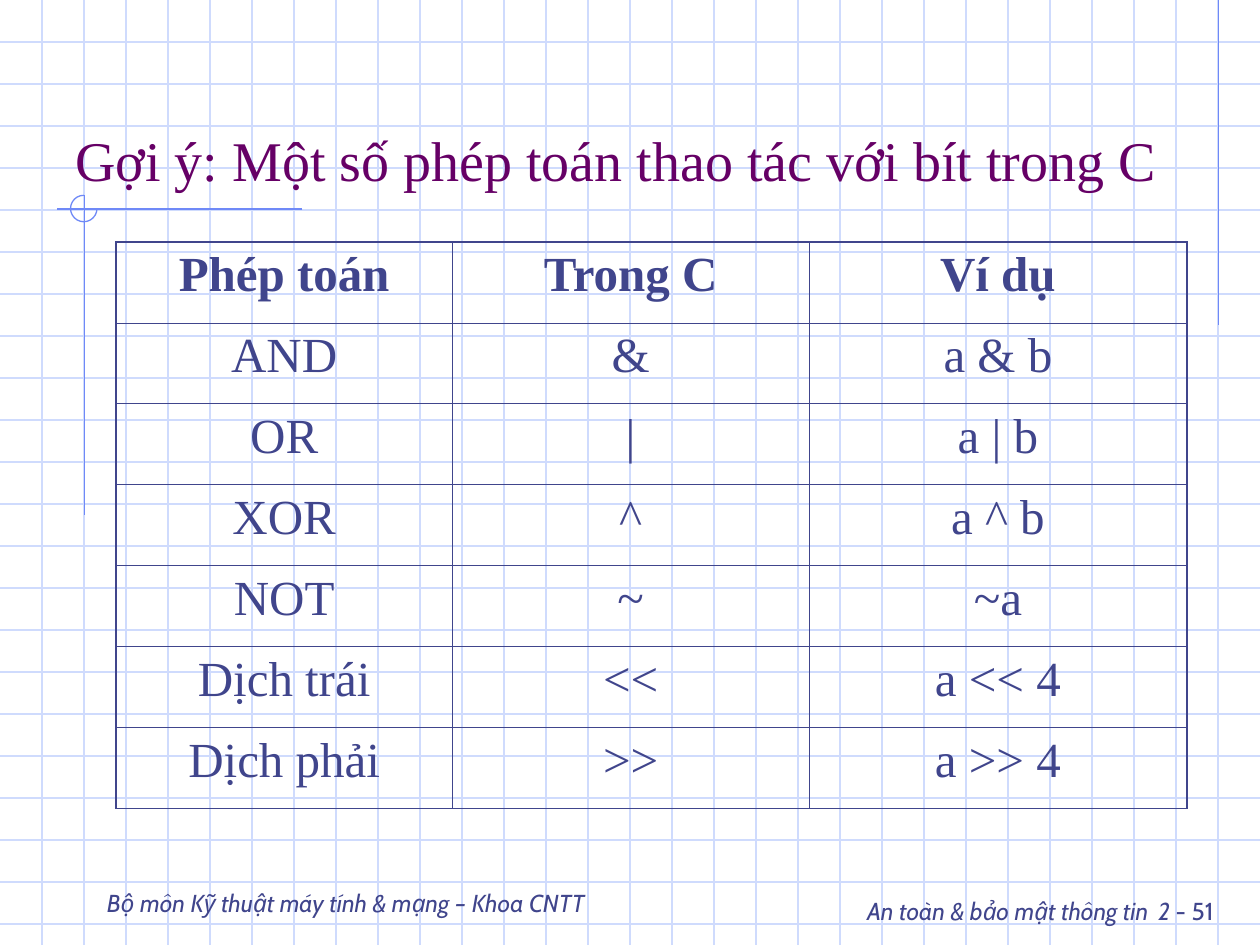
from lxml import etree
from pptx import Presentation
from pptx.dml.color import RGBColor
from pptx.enum.shapes import MSO_CONNECTOR, MSO_SHAPE
from pptx.enum.text import MSO_ANCHOR, PP_ALIGN
from pptx.oxml.ns import qn
from pptx.util import Inches, Pt

STRAIGHT = MSO_CONNECTOR.STRAIGHT
ARC = MSO_SHAPE.ARC
TOP, BOTTOM = MSO_ANCHOR.TOP, MSO_ANCHOR.BOTTOM
LEFT, CENTER, RIGHT = PP_ALIGN.LEFT, PP_ALIGN.CENTER, PP_ALIGN.RIGHT

WHITE = RGBColor(0xFF, 0xFF, 0xFF)
GRID = RGBColor(0xCF, 0xDB, 0xFD)
ACCENT = RGBColor(0x6F, 0x89, 0xF7)
INK = RGBColor(0x40, 0x45, 0x8C)
PURPLE = RGBColor(0x66, 0x00, 0x66)
SERIF, SANS = "Times New Roman", "Cabin"

WIDTH, HEIGHT = 10, 7.5
GRID_PER_INCH = 3
ACCENT_LINES = [
    (9.67, 0, 9.67, 2.58),
    (2.4, 1.66, 0.45, 1.66),
    (0.67, 1.55, 0.67, 4.09),
]
TITLE = [("Gợi ý: Một số phép toán thao tác với bít trong C", 32, False)]
DEPARTMENT = [("Bộ môn Kỹ thuật máy tính & mạng – Khoa CNTT", 14, True)]
COURSE = [
    ("An toàn & bảo mật thông tin", 14, True),
    (" ", 24, False),
    ("2", 14, True),
    (" - 51", 14, False),
]
COLUMN_WIDTHS = [2.67, 2.83, 3]
ROWS = [
    ("Phép toán", "Trong C", "Ví dụ"),
    ("AND", "&", "a & b"),
    ("OR", "|", "a | b"),
    ("XOR", "^", "a ^ b"),
    ("NOT", "~", "~a"),
    ("Dịch trái", "<<", "a << 4"),
    ("Dịch phải", ">>", "a >> 4"),
]
TABLE_LEFT, TABLE_TOP, TABLE_HEIGHT = 0.92, 1.92, 4.5
OUTER_BORDER, INNER_BORDER = 1.08, 0.45


def add_line(slide, x1, y1, x2, y2, color):
    line = slide.shapes.add_connector(
        STRAIGHT, Inches(x1), Inches(y1), Inches(x2), Inches(y2))
    line.line.color.rgb = color
    line.line.width = Pt(0.75)
    etree.SubElement(line._element.spPr, qn("a:effectLst"))


def style_font(run, name, size, color, bold=False, italic=False):
    font = run.font
    font.name, font.size = name, Pt(size)
    font.bold, font.italic = bold, italic
    font.color.rgb = color


def add_text(slide, box, runs, font_name, color, align=LEFT, anchor=TOP):
    shape = slide.shapes.add_textbox(*(Inches(value) for value in box))
    text_frame = shape.text_frame
    text_frame.word_wrap = True
    text_frame.vertical_anchor = anchor
    paragraph = text_frame.paragraphs[0]
    paragraph.alignment = align
    for text, size, italic in runs:
        run = paragraph.add_run()
        run.text = text
        style_font(run, font_name, size, color, italic=italic)


def set_borders(cell, outer_sides):
    properties = cell._tc.get_or_add_tcPr()
    for index, side in enumerate("LRTB"):
        width = OUTER_BORDER if outer_sides[side] else INNER_BORDER
        border = etree.Element(qn(f"a:ln{side}"), w=str(Pt(width)))
        fill = etree.SubElement(border, qn("a:solidFill"))
        etree.SubElement(fill, qn("a:srgbClr"), val=str(INK))
        properties.insert(index, border)


def add_grid(slide):
    for index in range(1, int(HEIGHT * GRID_PER_INCH) + 1):
        y = index / GRID_PER_INCH
        add_line(slide, 0, y, WIDTH, y, GRID)
    for index in range(1, WIDTH * GRID_PER_INCH):
        x = index / GRID_PER_INCH
        add_line(slide, x, 0, x, HEIGHT, GRID)


def add_accents(slide):
    for ends in ACCENT_LINES:
        add_line(slide, *ends, ACCENT)
    arc = slide.shapes.add_shape(
        ARC, Inches(0.56), Inches(1.55), Inches(0.21), Inches(0.21))
    arc.shadow.inherit = False
    arc.adjustments[0] = 0
    arc.adjustments[1] = 162
    arc.fill.background()
    arc.line.color.rgb = ACCENT
    arc.line.width = Pt(0.75)


def add_operator_table(slide):
    table = slide.shapes.add_table(
        len(ROWS), len(COLUMN_WIDTHS), Inches(TABLE_LEFT), Inches(TABLE_TOP),
        Inches(sum(COLUMN_WIDTHS)), Inches(TABLE_HEIGHT)).table
    table.first_row = table.horz_banding = False
    for column, width in zip(table.columns, COLUMN_WIDTHS):
        column.width = Inches(width)
    last_row, last_column = len(ROWS) - 1, len(COLUMN_WIDTHS) - 1
    for row, texts in enumerate(ROWS):
        for column, text in enumerate(texts):
            cell = table.cell(row, column)
            cell.fill.background()
            set_borders(cell, {"L": column == 0, "R": column == last_column,
                               "T": row == 0, "B": row == last_row})
            cell.text_frame.text = text
            paragraph = cell.text_frame.paragraphs[0]
            paragraph.alignment = CENTER
            paragraph.space_before = Pt(7)
            style_font(paragraph.runs[0], SERIF, 28, INK, bold=row == 0)


def main():
    presentation = Presentation()
    presentation.slide_width = Inches(WIDTH)
    presentation.slide_height = Inches(HEIGHT)
    slide = presentation.slides.add_slide(presentation.slide_layouts[6])
    slide.background.fill.solid()
    slide.background.fill.fore_color.rgb = WHITE
    add_grid(slide)
    add_accents(slide)
    add_text(slide, (6.25, 6.92, 3.48, 0.5), COURSE, SANS, INK, align=RIGHT)
    add_text(slide, (0.75, 6.83, 5.58, 0.5), DEPARTMENT, SANS, INK, anchor=BOTTOM)
    add_text(slide, (0.5, 0.33, 9, 1.25), TITLE, SERIF, PURPLE, anchor=BOTTOM)
    add_operator_table(slide)
    presentation.save("out.pptx")


if __name__ == "__main__":
    main()
